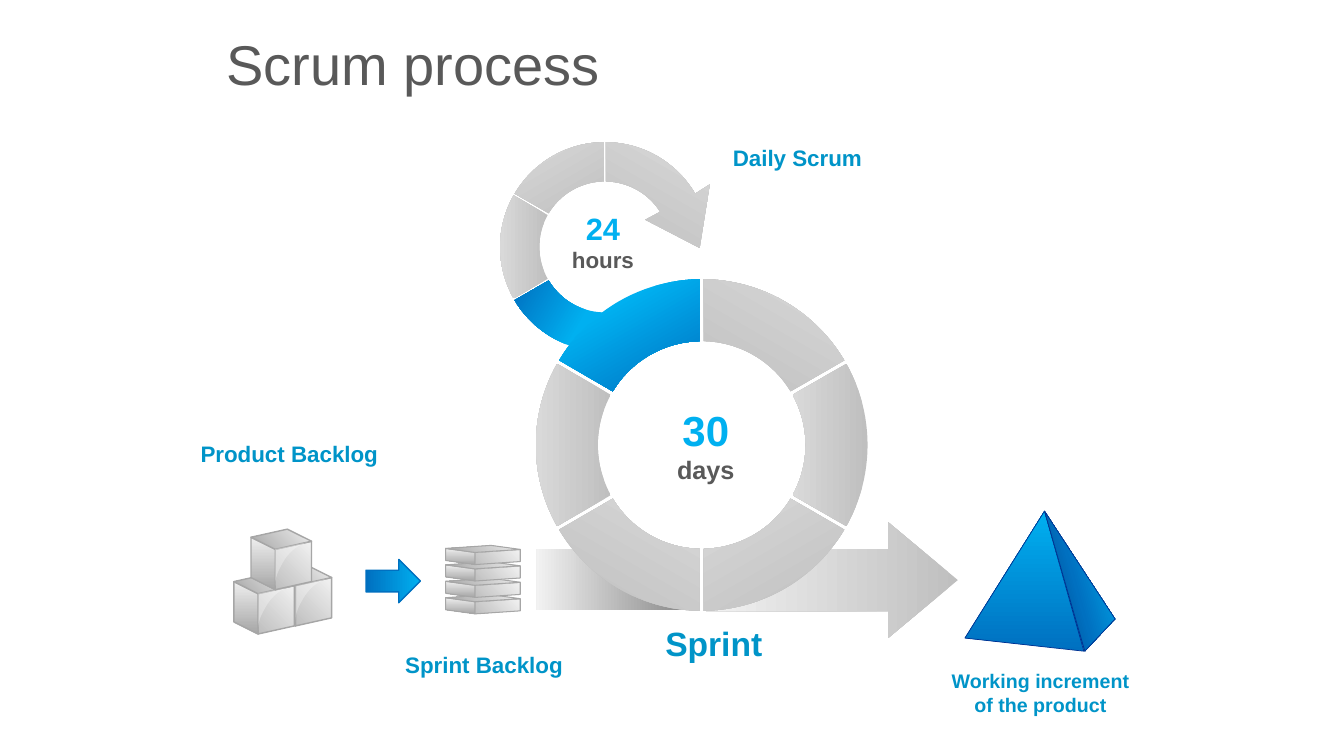
from copy import deepcopy
from math import asin, cos, degrees, radians, sin

from lxml import etree
from pptx import Presentation
from pptx.dml.color import RGBColor
from pptx.enum.shapes import MSO_SHAPE
from pptx.enum.text import MSO_ANCHOR, PP_ALIGN
from pptx.oxml.ns import qn
from pptx.util import Inches, Pt

RECTANGLE, RIGHT_ARROW = MSO_SHAPE.RECTANGLE, MSO_SHAPE.RIGHT_ARROW
LEFT, CENTER = PP_ALIGN.LEFT, PP_ALIGN.CENTER
TOP, MIDDLE = MSO_ANCHOR.TOP, MSO_ANCHOR.MIDDLE

FONT = "Arial"
BRIGHT, BLUE, NAVY, LABEL, TEXT = "00B0F0", "0070C0", "003192", "0094C8", "595959"
EDGE = "A6A6A6"
GREY_RING = [(0, "BFBFBF"), (100, "D9D9D9")]
BLUE_RING = [(30, BRIGHT), (100, BLUE)]
BOX_FRONT = [(0, "F2F2F2"), (100, "BFBFBF")]
BOX_SIDE = [(0, "EEEEEE"), (100, "A6A6A6")]


def color(value):
    return RGBColor.from_string(value)


def arc(center, radius, start, end, steps=24):
    """Points on a circle, with angles in degrees clockwise from the right."""
    angles = [radians(start + (end - start) * i / steps) for i in range(steps + 1)]
    return [(center[0] + radius * cos(a), center[1] + radius * sin(a)) for a in angles]


def bezier(start, first, second, end, steps=10):
    """Points on a cubic curve."""
    points = []
    for i in range(steps + 1):
        t = i / steps
        weights = ((1 - t) ** 3, 3 * t * (1 - t) ** 2, 3 * t * t * (1 - t), t ** 3)
        points.append(tuple(sum(w * p[axis] for w, p in zip(weights, (start, first, second, end)))
                            for axis in (0, 1)))
    return points


def shift(origin, offsets):
    return [(origin[0] + x, origin[1] + y) for x, y in offsets]


class ScrumSlide:
    def __init__(self, slide):
        self.slide = slide

    def finish(self, shape, stops, angle, line=None, width=1):
        """Apply a gradient with a clockwise angle, and an outline if given."""
        shape.shadow.inherit = False
        shape.fill.gradient()
        stop_list = shape._element.spPr.find(qn("a:gradFill")).find(qn("a:gsLst"))
        for _ in stops[2:]:
            stop_list.append(deepcopy(stop_list[0]))
        for stop, (position, value) in zip(shape.fill.gradient_stops, stops):
            stop.position = position / 100
            stop.color.rgb = color(value)
        shape.fill.gradient_angle = -angle % 360
        if line:
            shape.line.color.rgb = color(line)
            shape.line.width = Pt(width)
        else:
            shape.line.fill.background()

    def outline(self, points):
        corners = [(Inches(x), Inches(y)) for x, y in points]
        builder = self.slide.shapes.build_freeform(*corners[0])
        builder.add_line_segments(corners[1:], close=True)
        return builder.convert_to_shape()

    def polygon(self, points, stops, angle, line=None, width=1):
        self.finish(self.outline(points), stops, angle, line, width)

    def preset(self, kind, box, stops, angle, line=None, adjustments=()):
        shape = self.slide.shapes.add_shape(kind, *map(Inches, box))
        for index, value in enumerate(adjustments):
            shape.adjustments[index] = value
        self.finish(shape, stops, angle, line)

    def ring_segment(self, ring, start, stops, angle, head=()):
        """Draw a sixth of a ring, with an arrowhead at its end if given."""
        center, outer, inner, half_gap = ring
        outer_inset, inner_inset = (degrees(asin(half_gap / r)) for r in (outer, inner))
        end = start + 60
        points = arc(center, outer, start + outer_inset, end - outer_inset)
        points += head
        points += arc(center, inner, end - inner_inset, start + inner_inset)
        self.polygon(points, stops, angle)

    def box(self, corner, right, left, height, width):
        """Draw three faces that meet at the front top corner."""
        down = (0, height)
        back = (right[0] + left[0], right[1] + left[1])
        faces = [
            ([right, (right[0], right[1] + height), down, (0, 0)], BOX_FRONT, 135),
            ([left, (0, 0), down, (left[0], left[1] + height)], BOX_SIDE, 90),
            ([back, right, (0, 0), left], BOX_SIDE, 135),
        ]
        for offsets, stops, angle in faces:
            self.polygon(shift(corner, offsets), stops, angle, EDGE, width)

    def gloss(self, corner):
        """Draw the translucent highlight on the front face of a cube."""
        curve = bezier((0.32, -0.07), (0.21, -0.04), (0.12, 0.04), (0.06, 0.16))
        curve += bezier((0.06, 0.16), (0.02, 0.23), (0, 0.29), (0, 0.36))
        shape = self.outline(shift(corner, curve + [(0, 0)]))
        shape.shadow.inherit = False
        shape.fill.solid()
        shape.fill.fore_color.rgb = color("FFFFFF")
        shape.line.fill.background()
        white = shape._element.spPr.find(qn("a:solidFill"))[0]
        etree.SubElement(white, qn("a:alpha")).set("val", "30000")

    def text(self, box, lines, align=LEFT, bold=True, wrap=False, anchor=TOP, spacing=1.0):
        """Add a text box from (text, size, colour) lines."""
        frame = self.slide.shapes.add_textbox(*map(Inches, box)).text_frame
        frame.word_wrap, frame.vertical_anchor = wrap, anchor
        for index, (words, size, value) in enumerate(lines):
            paragraph = frame.add_paragraph() if index else frame.paragraphs[0]
            paragraph.alignment, paragraph.line_spacing = align, spacing
            run = paragraph.add_run()
            run.text = words
            for name, setting in {"name": FONT, "size": Pt(size), "bold": bold}.items():
                setattr(run.font, name, setting)
            run.font.color.rgb = color(value)


def main():
    presentation = Presentation()
    presentation.slide_width, presentation.slide_height = Inches(13.33), Inches(7.5)
    scrum = ScrumSlide(presentation.slides.add_slide(presentation.slide_layouts[6]))

    for corner in [(2.93, 5.81), (2.56, 5.89), (2.73, 5.45)]:
        scrum.box(corner, (0.36, -0.08), (-0.24, -0.12), 0.4, 1)
        scrum.gloss(corner)
    scrum.preset(RIGHT_ARROW, (3.63, 5.55, 0.54, 0.43), [(0, BRIGHT), (100, BLUE)], 180, BLUE)
    for level in range(4):
        scrum.box((4.71, 5.97 - 0.163 * level), (0.45, -0.03), (-0.29, -0.04), 0.12, 0.75)

    daily_ring = ((6, 2.45), 1.04, 0.65, 0.01)
    arrowhead = [(7.04, 1.83), (6.94, 2.46), (6.4, 2.18), (6.55, 2.1)]
    scrum.ring_segment(daily_ring, 150, GREY_RING, 180)
    scrum.ring_segment(daily_ring, 90, BLUE_RING, 210)
    scrum.ring_segment(daily_ring, 270, GREY_RING, 300, arrowhead)
    scrum.ring_segment(daily_ring, 210, GREY_RING, 240)

    scrum.preset(RIGHT_ARROW, (7, 5.18, 2.5, 1.15), [(0, "BFBFBF"), (100, "F2F2F2")], 180,
                 adjustments=(0.534, 0.601))
    scrum.preset(RECTANGLE, (5.32, 5.45, 1.62, 0.6), [(0, "808080"), (100, "F2F2F2")], 180)

    sprint_ring = ((6.96, 4.415), 1.645, 1.03, 0.02)
    for start, angle in [(-30, 180), (150, 180), (90, 300), (270, 300), (30, 240)]:
        scrum.ring_segment(sprint_ring, start, GREY_RING, angle)
    scrum.ring_segment(sprint_ring, 210, BLUE_RING, 60)

    scrum.text((6.61, 3.96, 0.78, 0.94), [("30", 30, BRIGHT), ("days", 18, TEXT)], CENTER)
    scrum.text((5.57, 2.03, 0.82, 0.74), [("24", 22, BRIGHT), ("hours", 16, TEXT)], CENTER)
    for words, size, box in [
        ("Product Backlog", 16, (1.89, 4.32, 1.98, 0.37)),
        ("Sprint Backlog", 16, (3.92, 6.41, 1.78, 0.37)),
        ("Sprint", 24, (6.5, 6.13, 1.17, 0.5)),
        ("Daily Scrum", 16, (7.17, 1.38, 1.5, 0.61)),
    ]:
        scrum.text(box, [(words, size, LABEL)])
    scrum.text((9.32, 6.59, 2, 0.57), [("Working increment of the product", 14, LABEL)],
               CENTER, wrap=True)

    pyramid_top = (10.36, 5.07)
    scrum.polygon([pyramid_top, (10.75, 6.46), (9.57, 6.33)],
                  [(0, BLUE), (100, BRIGHT)], 270, NAVY, 0.5)
    scrum.polygon([pyramid_top, (11.06, 6.14), (10.76, 6.46)],
                  [(0, "004282"), (45, BLUE), (100, BRIGHT)], 344.2, NAVY, 0.5)

    scrum.text((2.15, 0.25, 8.77, 0.83), [("Scrum process", 40, TEXT)], bold=False,
               wrap=True, anchor=MIDDLE, spacing=0.9)
    presentation.save("out.pptx")


if __name__ == "__main__":
    main()
